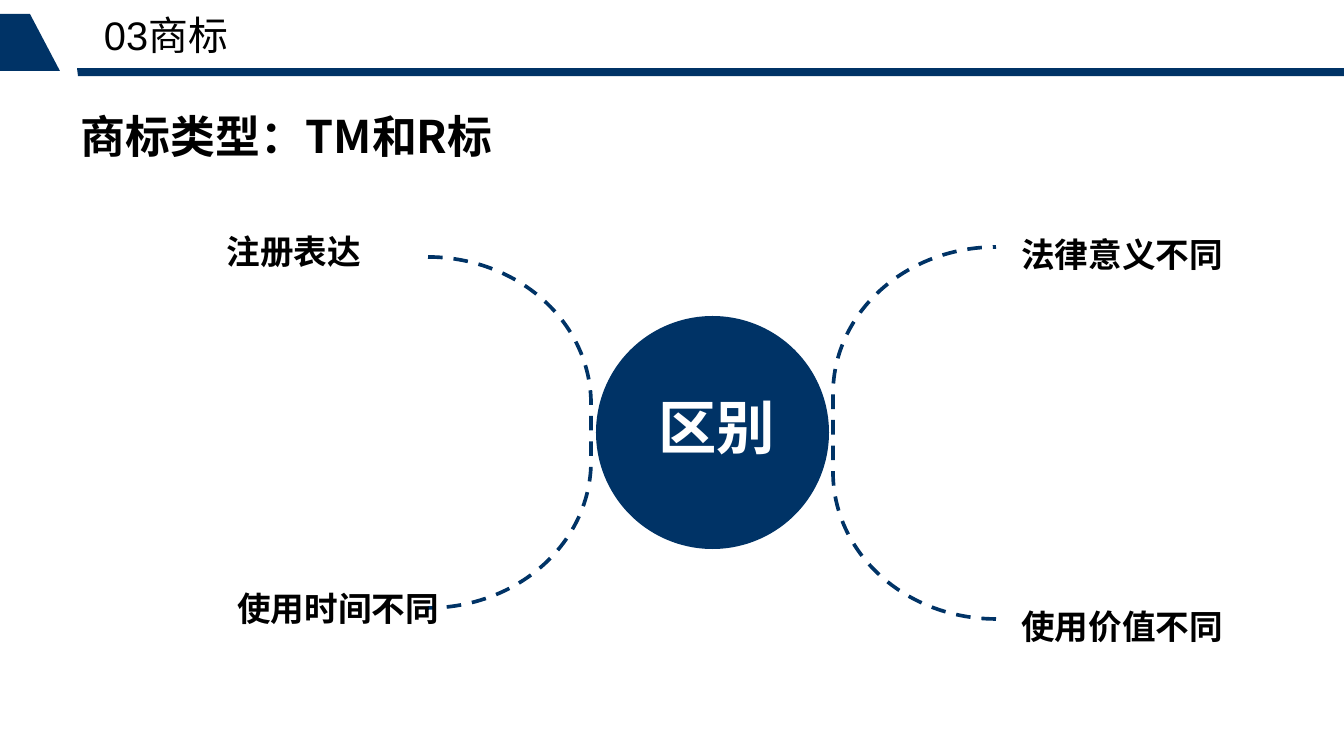
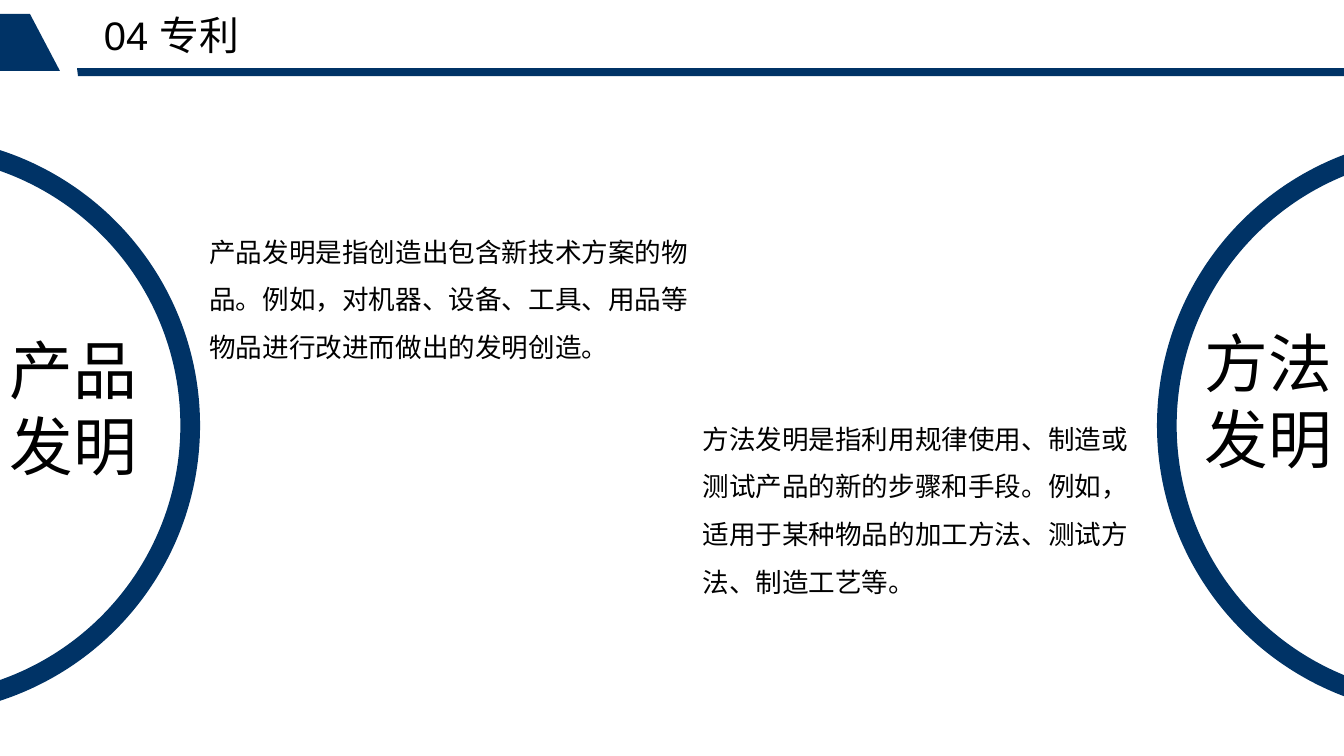
from pptx import Presentation
from pptx import util as u
from pptx.dml.color import RGBColor
from pptx.enum import dml, shapes, text

PX = 9565
WIDE, HIGH = 1344, 756
NAVY, BLACK, WHITE = "003366", "000000", "FFFFFF"
SANS = "Noto Sans CJK SC"
KIND = shapes.MSO_SHAPE


def px(n):
    return u.Emu(n * PX)


def tint(code):
    return RGBColor.from_string(code)


def fill(shape, code):
    shape.shadow.inherit = False
    shape.fill.solid()
    shape.fill.fore_color.rgb = tint(code)
    shape.line.fill.background()


def form(slide, kind, box, adj=(), rot=0):
    shape = slide.shapes.add_shape(kind, *map(px, box))
    for i, val in enumerate(adj):
        shape.adjustments[i] = val
    shape.rotation = rot
    fill(shape, NAVY)
    return shape


def outline(slide, pts):
    path = slide.shapes.build_freeform(*pts[0], scale=PX)
    path.add_line_segments(pts[1:], close=True)
    fill(path.convert_to_shape(), NAVY)


def write(slide, box, words, size, font=SANS, color=BLACK, bold=False,
          wrap=True, space=None, after=None, inset=None):
    frame = slide.shapes.add_textbox(*map(px, box)).text_frame
    frame.word_wrap = wrap
    frame.vertical_anchor = text.MSO_ANCHOR.TOP
    if inset is not None:
        (frame.margin_left, frame.margin_top,
         frame.margin_right, frame.margin_bottom) = map(px, inset)
    para = frame.paragraphs[0]
    para.line_spacing = space
    para.space_after = after
    run = para.add_run()
    run.text = words
    run.font.size = u.Pt(size)
    run.font.name = font
    run.font.bold = bold
    run.font.color.rgb = tint(color)
    if font == SANS:
        props = run.font._element
        east = props.makeelement(
            "{http://schemas.openxmlformats.org/drawingml/2006/main}ea",
            {"typeface": font})
        props.find("{*}latin").addnext(east)


def header(slide, words):
    outline(slide, [(30, 14), (60, 71), (0, 71), (0, 14)])
    outline(slide, [(77, 68), (WIDE, 68), (WIDE, 76), (78, 76)])
    write(slide, (60, 11, 863, 48), words, 30, font="Arial",
          after=u.Pt(6), inset=(44, 0, 0, 0))


def bracket(slide, kind, box):
    line = form(slide, kind, box, adj=[0.9])
    line.fill.background()
    line.line.color.rgb = tint(NAVY)
    line.line.width = u.Pt(2.75)
    line.line.dash_style = dml.MSO_LINE.DASH


def hub(slide, x, y, size, words):
    form(slide, KIND.OVAL, (x, y, size, size))
    write(slide, (x + 53, y + 70, 205, 80), words, 44, color=WHITE, bold=True)


def marks(slide):
    write(slide, (71, 109, 942, 118), "商标类型：TM和R标", 33.8, bold=True,
          inset=(10, 0, 10, 5))
    hub(slide, 596, 316, 233, "区别")
    bracket(slide, KIND.RIGHT_BRACKET, (428, 257, 163, 351))
    bracket(slide, KIND.LEFT_BRACKET, (833, 247, 163, 372))
    for x, y, wide, words in [
        (217, 226, 184, "注册表达"),
        (228, 583, 221, "使用时间不同"),
        (1012, 229, 221, "法律意义不同"),
        (1012, 601, 277, "使用价值不同"),
    ]:
        write(slide, (x, y, wide, 51), words, 25.3, bold=True, wrap=False)


def arc(slide, x, rot, label, words):
    form(slide, KIND.BLOCK_ARC, (x, 136, 579, 579),
         adj=[108, 0.108, 0.034], rot=rot)
    write(slide, (*label, 149, 164), words, 48, font="Calibri")


def patents(slide):
    arc(slide, -379, 90, (0, 326), "产品发明")
    arc(slide, 1157, 270, (1195, 319), "方法发明")
    for box, words in [
        ((200, 215, 511, 154),
         "产品发明是指创造出包含新技术方案的物品。例如，对机器、设备、工具、"
         "用品等物品进行改进而做出的发明创造。"),
        ((693, 402, 455, 203),
         "方法发明是指利用规律使用、制造或测试产品的新的步骤和手段。例如，"
         "适用于某种物品的加工方法、测试方法、制造工艺等。"),
    ]:
        write(slide, box, words, 20, space=1.5)


def main():
    deck = Presentation()
    deck.slide_width, deck.slide_height = px(WIDE), px(HIGH)
    for words, body in [("03商标", marks), ("04 专利", patents)]:
        slide = deck.slides.add_slide(deck.slide_layouts[6])
        header(slide, words)
        body(slide)
    deck.save("out.pptx")


if __name__ == "__main__":
    main()
